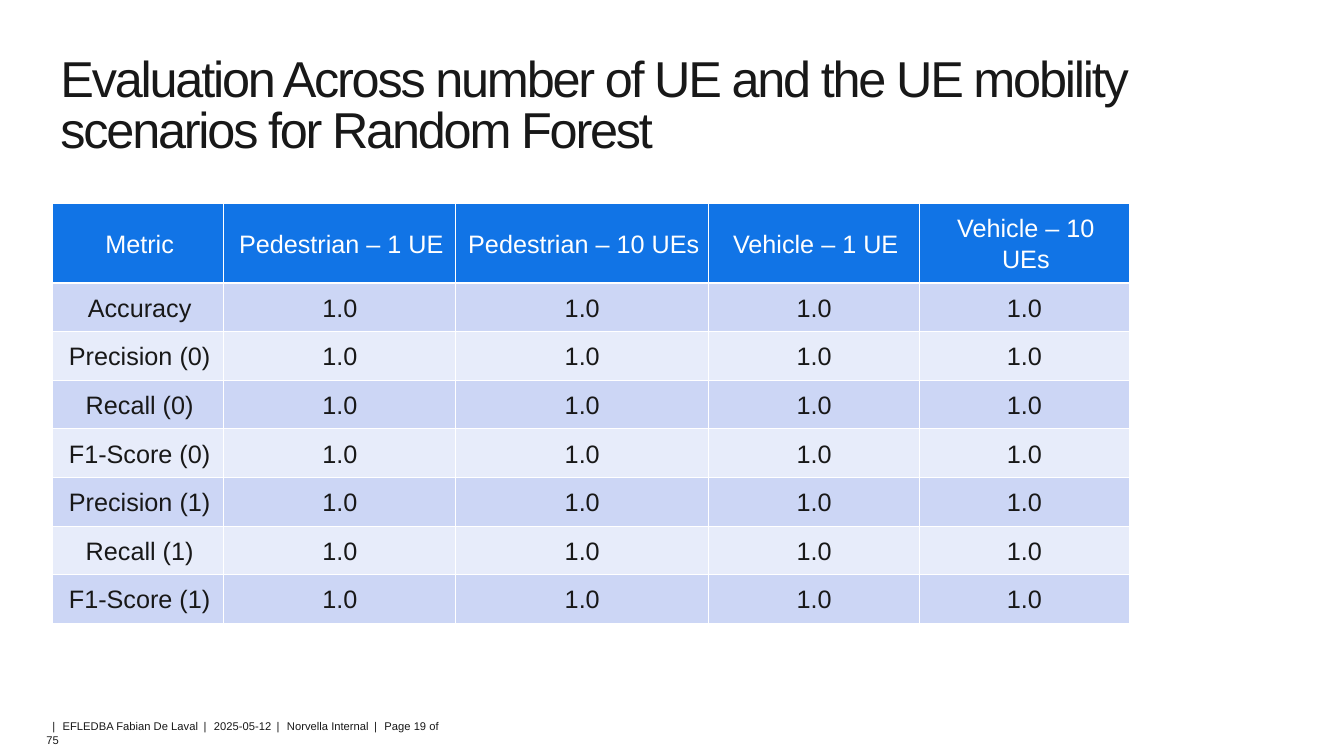
from lxml.etree import SubElement
from pptx import Presentation
from pptx.dml.color import RGBColor
from pptx.enum.text import MSO_ANCHOR, MSO_AUTO_SIZE, PP_ALIGN
from pptx.oxml.ns import qn
from pptx.util import Inches, Pt

COLORS = {
    "ink": "181818",
    "white": "FFFFFF",
    "header": "1174E6",
    "band_dark": "CCD6F5",
    "band_light": "E7ECFA",
}
SCENARIOS = ["Pedestrian – 1 UE", "Pedestrian – 10 UEs", "Vehicle – 1 UE", "Vehicle – 10 UEs"]
METRICS = ["Accuracy", "Precision (0)", "Recall (0)", "F1-Score (0)",
           "Precision (1)", "Recall (1)", "F1-Score (1)"]
COLUMN_WIDTHS = [1.7, 2.3, 2.51, 2.09, 2.08]
ROW_HEIGHT = 0.48
FOOTER_PARTS = ["EFLEDBA Fabian De Laval", "2025-05-12", "Norvella Internal", "Page 19 of 75"]


def color(name):
    return RGBColor.from_string(COLORS[name])


def format_run(run, size, color_name, spacing=None):
    run.font.name = "Arial"
    run.font.size = Pt(size)
    run.font.color.rgb = color(color_name)
    if spacing is not None:
        run.font._element.set("spc", str(round(spacing * 100)))


def set_margins(target, left, top, right, bottom):
    target.margin_left, target.margin_top = Inches(left), Inches(top)
    target.margin_right, target.margin_bottom = Inches(right), Inches(bottom)


def add_title(slide, text):
    title = slide.shapes.title
    title.left, title.top = Inches(0.52), Inches(0.52)
    title.width, title.height = Inches(11.61), Inches(1.18)
    frame = title.text_frame
    frame.text = text
    frame.word_wrap = True
    frame.auto_size = MSO_AUTO_SIZE.NONE
    frame.vertical_anchor = MSO_ANCHOR.TOP
    set_margins(frame, 0.08, 0.04, 0.08, 0.04)
    heading = frame.paragraphs[0]
    heading.alignment = PP_ALIGN.LEFT
    heading.line_spacing = 0.85
    format_run(heading.runs[0], 36, "ink", -1.6)


def set_borders(cell, top, bottom):
    properties = cell._tc.get_or_add_tcPr()
    sides = {"a:lnL": 0.75, "a:lnR": 0.75, "a:lnT": top, "a:lnB": bottom}
    for side, width in sides.items():
        line = SubElement(properties, qn(side), w=str(Pt(width)))
        fill = SubElement(line, qn("a:solidFill"))
        SubElement(fill, qn("a:srgbClr"), val=COLORS["white"])


def fill_cell(cell, text, row, column):
    cell.text = text
    cell.vertical_anchor = MSO_ANCHOR.MIDDLE
    if row == 0 or column == 0:
        set_margins(cell, 0.12, 0.09, 0.09, 0.09)
    label = cell.text_frame.paragraphs[0]
    label.alignment = PP_ALIGN.CENTER
    label.line_spacing = Pt(21.8)
    format_run(label.runs[0], 18, "white" if row == 0 else "ink")
    # Borders come before the fill in the cell properties
    set_borders(cell, 1.98 if row == 1 else 0.75, 1.98 if row == 0 else 0.75)
    band = "header" if row == 0 else "band_dark" if row % 2 else "band_light"
    cell.fill.solid()
    cell.fill.fore_color.rgb = color(band)


def add_scores(slide):
    rows = [["Metric"] + SCENARIOS]
    rows += [[metric] + ["1.0"] * len(SCENARIOS) for metric in METRICS]
    scores = slide.shapes.add_table(
        len(rows), len(COLUMN_WIDTHS), Inches(0.52), Inches(2.02),
        Inches(sum(COLUMN_WIDTHS)), Inches(ROW_HEIGHT * len(rows))).table
    for column, width in zip(scores.columns, COLUMN_WIDTHS):
        column.width = Inches(width)
    for r, texts in enumerate(rows):
        scores.rows[r].height = Inches(ROW_HEIGHT)
        for c, text in enumerate(texts):
            fill_cell(scores.cell(r, c), text, r, c)


def add_footer(slide, parts):
    footer = slide.shapes.add_textbox(Inches(0.46), Inches(7.14), Inches(3.93), Inches(0.13))
    frame = footer.text_frame
    frame.word_wrap = True
    set_margins(frame, 0, 0, 0, 0)
    line = frame.paragraphs[0]
    line._p.get_or_add_pPr().set("indent", str(Inches(0.06)))
    # Letter spacing widens the gaps around each separator
    for index, part in enumerate(parts):
        for text, spacing in ((" | " if index else "| ", 1.5), (part, 0)):
            run = line.add_run()
            run.text = text
            format_run(run, 8, "ink", spacing)


def main():
    deck = Presentation()
    deck.slide_width, deck.slide_height = Inches(13.33), Inches(7.5)
    slide = deck.slides.add_slide(deck.slide_layouts[5])
    add_footer(slide, FOOTER_PARTS)
    add_title(slide, "Evaluation Across number of UE and the UE mobility scenarios for Random Forest")
    add_scores(slide)
    deck.save("out.pptx")


if __name__ == "__main__":
    main()
